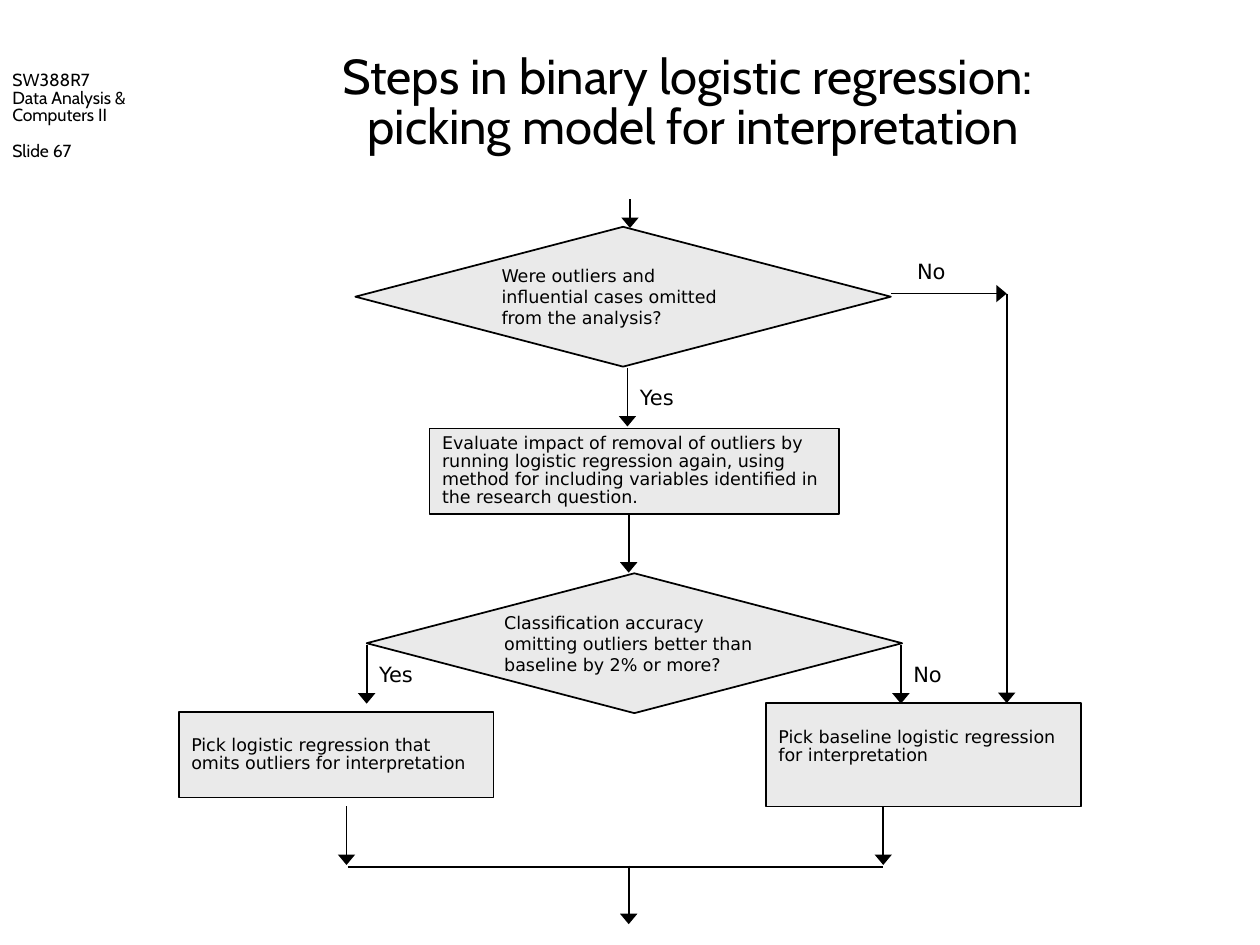
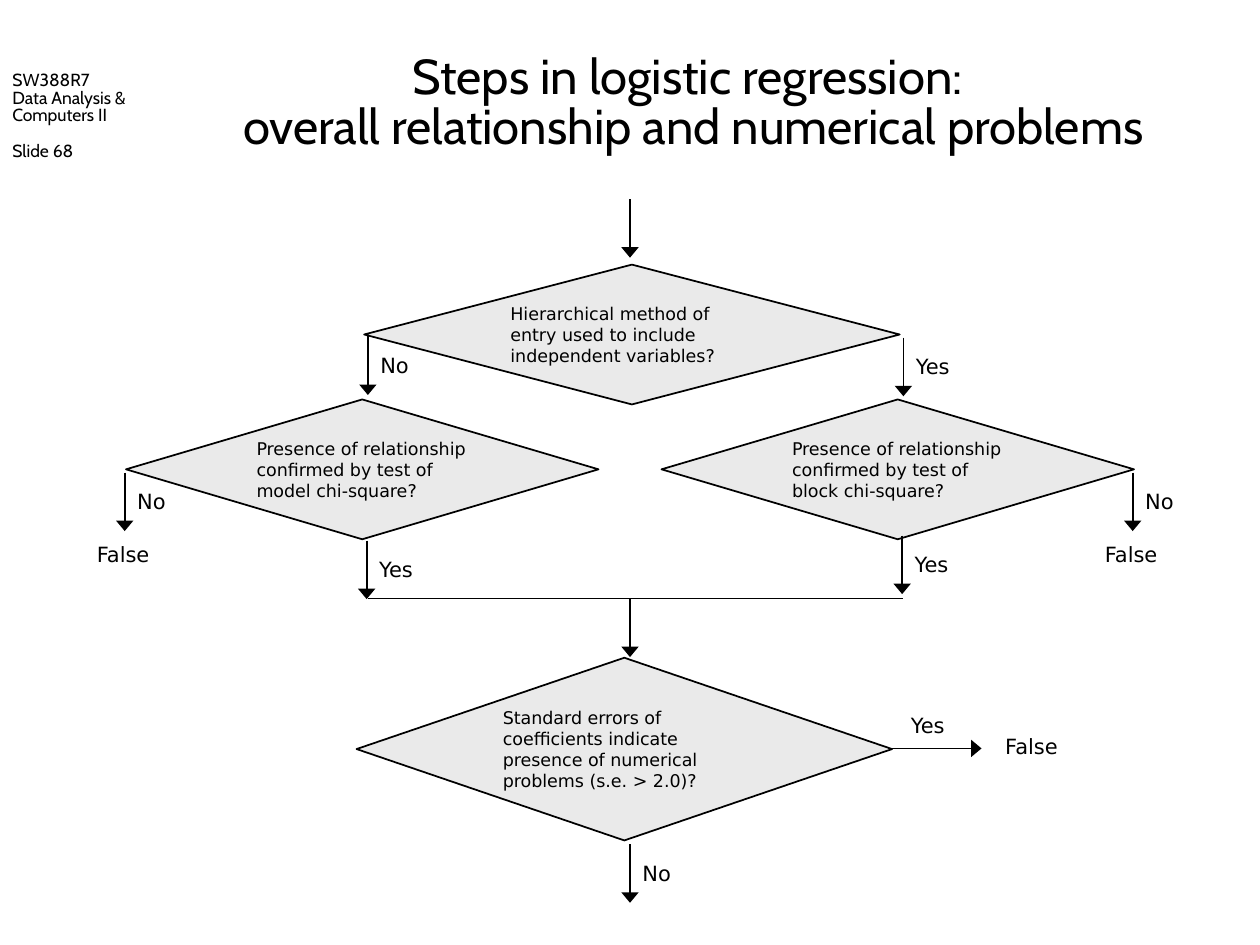
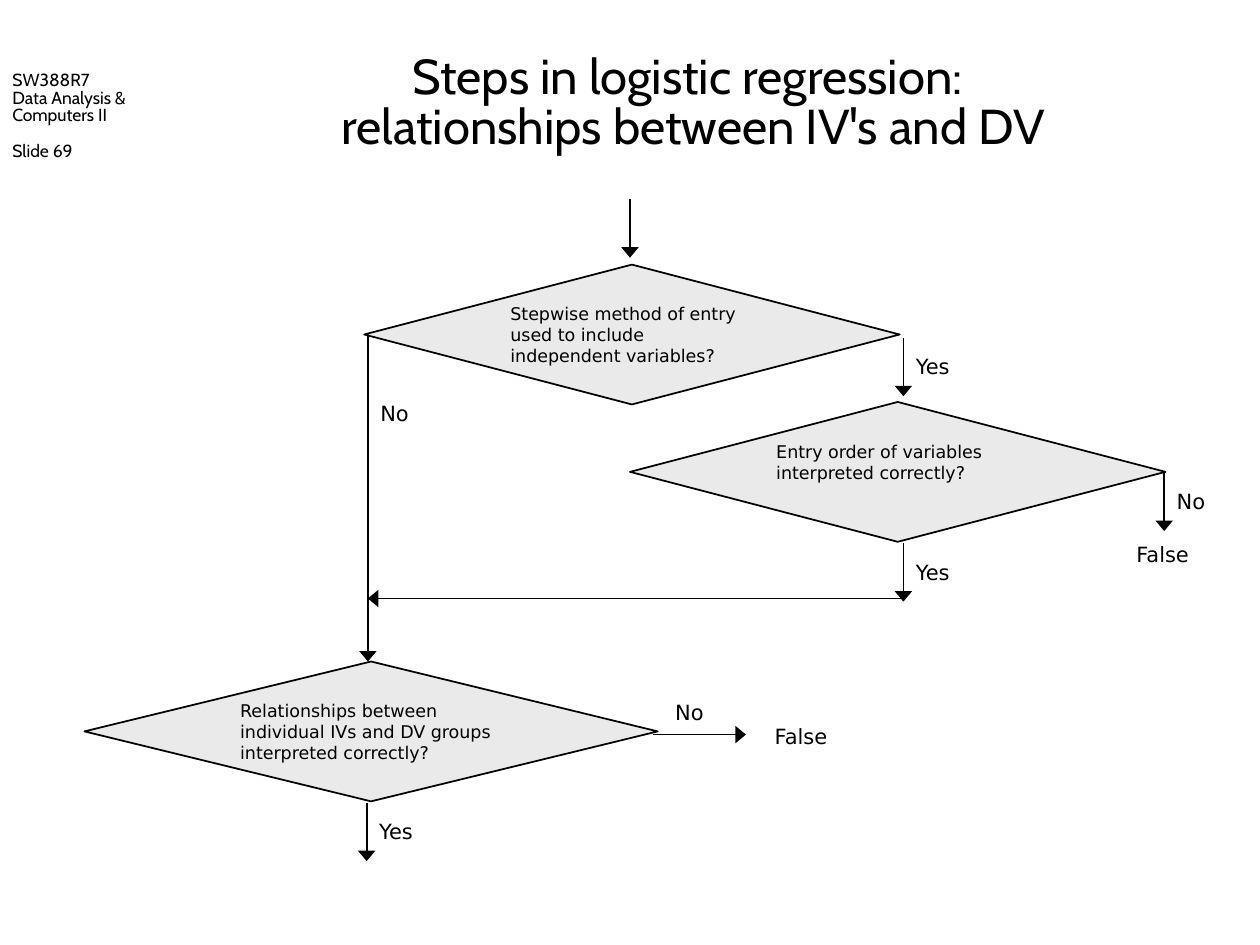
from dataclasses import dataclass

from lxml import etree
from pptx import Presentation
from pptx.dml.color import RGBColor
from pptx.enum.shapes import MSO_CONNECTOR, MSO_SHAPE
from pptx.enum.text import MSO_ANCHOR, PP_ALIGN
from pptx.oxml.ns import qn
from pptx.util import Inches, Pt

TOP, MIDDLE, BOTTOM = MSO_ANCHOR.TOP, MSO_ANCHOR.MIDDLE, MSO_ANCHOR.BOTTOM
LEFT, CENTER = PP_ALIGN.LEFT, PP_ALIGN.CENTER
DIAMOND, RECTANGLE = MSO_SHAPE.FLOWCHART_DECISION, MSO_SHAPE.RECTANGLE
STRAIGHT = MSO_CONNECTOR.STRAIGHT
COLUMNS, ROWS = 100, 75
WIDTH, HEIGHT = Inches(10), Inches(7.5)


@dataclass(frozen=True)
class Theme:
    """Colours, fonts and sizes shared by all slides."""
    ink: RGBColor = RGBColor(0, 0, 0)
    fill: RGBColor = RGBColor(0xEA, 0xEA, 0xEA)
    heading_font: str = "Cabin"
    body_font: str = "DejaVu Sans"
    title_size: float = 28
    small_size: float = 10
    label_size: float = 12
    tight: float = 0.85
    thin: float = 0.75
    line: float = 1


THEME = Theme()


@dataclass(frozen=True)
class Box:
    """A rectangle in grid columns and rows."""
    left: float
    top: float
    width: float
    height: float

    def inner(self, left, top, width, height):
        """Return a box placed relative to this one."""
        return Box(self.left + left, self.top + top, width, height)

    def frame(self):
        """Return left, top, width and height as slide lengths."""
        return (across(self.left), down(self.top),
                across(self.width), down(self.height))


SIDE = Box(0, 3.3, 12.5, 10)
TITLE = Box(12.5, 3.3, 85, 10)
CHART = Box(0, 15, 100, 60)


def across(columns):
    """Convert columns to a length."""
    return round(WIDTH * columns / COLUMNS)


def down(rows):
    """Convert rows to a length."""
    return round(HEIGHT * rows / ROWS)


def apply(target, formats):
    """Set each named attribute on the target."""
    for name, value in formats.items():
        setattr(target, name, value)


def write(shape, paragraphs, size, font=THEME.body_font, anchor=MIDDLE,
          align=LEFT, spacing=1.0):
    """Write paragraphs, each a list of lines, into a shape."""
    frame = shape.text_frame
    apply(frame, {"word_wrap": True, "vertical_anchor": anchor})
    for index, lines in enumerate(paragraphs):
        para = frame.add_paragraph() if index else frame.paragraphs[0]
        apply(para, {"alignment": align, "line_spacing": spacing})
        for number, line in enumerate(lines):
            if number:
                para.add_line_break()
            span = para.add_run()
            span.text = line
            apply(span.font, {"name": font, "size": Pt(size)})
            span.font.color.rgb = THEME.ink
    return frame


def add_text(page, box, paragraphs, size, **formats):
    """Add a text box and return its frame."""
    return write(page.shapes.add_textbox(*box.frame()), paragraphs, size, **formats)


@dataclass(frozen=True)
class Flow:
    """Flowchart parts placed relative to a box on a page."""
    page: object
    box: Box

    def node(self, kind, place, paragraphs, weight, spacing, lift, inset=1):
        """Add a filled shape, its text lifted by extra bottom inset."""
        shape = self.page.shapes.add_shape(kind, *self.box.inner(*place).frame())
        shape.shadow.inherit = False
        shape.fill.solid()
        shape.fill.fore_color.rgb = THEME.fill
        shape.line.color.rgb = THEME.ink
        shape.line.width = Pt(weight)
        frame = write(shape, [[text] for text in paragraphs],
                      THEME.small_size, spacing=spacing)
        apply(frame, {"margin_left": across(inset), "margin_right": across(inset),
                      "margin_bottom": down(0.5 + lift)})

    def decision(self, left, top, text, width=42.5, height=11.1, lift=0, inset=1):
        """Add a question in a diamond."""
        self.node(DIAMOND, (left, top, width, height), [text], THEME.line, 1.0,
                  lift, inset)

    def process(self, left, top, *paragraphs, width=25, height=6.8, lift=0):
        """Add a step in a rectangle."""
        self.node(RECTANGLE, (left, top, width, height), paragraphs,
                  THEME.thin, THEME.tight, lift)

    def label(self, left, top, text, width=5.1):
        """Add a short free label."""
        add_text(self.page, self.box.inner(left, top, width, 3), [[text]],
                 THEME.label_size, anchor=TOP)

    def line(self, left, top, run, weight=THEME.line, arrow=False):
        """Add a straight line with an optional arrowhead."""
        start = self.box.inner(left, top, *run)
        x, y, width, height = start.frame()
        connector = self.page.shapes.add_connector(STRAIGHT, x, y, x + width, y + height)
        connector.line.color.rgb = THEME.ink
        connector.line.width = Pt(weight)
        properties = connector.element.spPr
        if arrow:
            etree.SubElement(properties.find(qn("a:ln")), qn("a:tailEnd"),
                             type="triangle", w="lg", len="med")
        etree.SubElement(properties, qn("a:effectLst"))

    def arrow(self, left, top, text=None, length=4.65, drop=0.8):
        """Add a downward arrow with an optional label beside it."""
        self.line(left, top, (0, length), arrow=True)
        if text:
            self.label(left, top + drop, text)

    def side_arrow(self, left, top, text=None, length=7.4, shift=0.8):
        """Add a horizontal arrow with an optional label above it."""
        self.line(left, top, (length, 0), arrow=True)
        if text:
            self.label(left + shift, top - 3.3, text)

    def false_end(self, left, top):
        """Add the end label of a failed check."""
        self.label(left, top, "False", width=7)


def draw_side(page, box, number):
    """Add the course name and slide number."""
    frame = add_text(page, box,
                     [["SW388R7"], ["Data Analysis & Computers II"], [f"Slide {number}"]],
                     THEME.small_size, font=THEME.heading_font, anchor=BOTTOM,
                     spacing=THEME.tight)
    frame.paragraphs[-1].space_before = Pt(10.3)


def draw_title(page, box, lines):
    """Add the centred two-line title."""
    add_text(page, box, [lines], THEME.title_size, font=THEME.heading_font,
             align=CENTER, spacing=THEME.tight)


def draw_model_choice(page, box):
    """Draw the choice between the baseline and the reduced model."""
    flow = Flow(page, box)
    flow.decision(29.1, 30.5, "Classification accuracy omitting outliers better "
                              "than baseline by 2% or more?", inset=0.3)
    flow.decision(28.2, 3, "Were outliers and influential cases omitted "
                           "from the analysis?")
    flow.process(60.8, 40.8, "Pick baseline logistic regression",
                 "for interpretation", height=8.2, lift=1.2)
    flow.process(34.1, 19, "Evaluate impact of removal of outliers by running "
                           "logistic regression again, using method for including "
                           "variables identified in the research question.", width=32.5)
    flow.process(14.2, 41.5, "Pick logistic regression that omits outliers "
                             "for interpretation")
    flow.arrow(50, 0.8, length=2.3)
    flow.arrow(49.8, 14.2, "Yes")
    flow.arrow(49.9, 25.8)
    flow.arrow(29.1, 36.2, "Yes")
    flow.arrow(71.5, 36.2, "No")
    flow.side_arrow(70.7, 8.3, "No", length=9.2, shift=1.1)
    flow.arrow(79.9, 8.3, length=32.5)
    for left in (27.5, 70.1):
        flow.arrow(left, 49)
    flow.line(27.6, 53.8, (42.5, 0))
    flow.arrow(49.9, 53.7)


def draw_overall_check(page, box):
    """Draw the checks of overall relationship and numerical problems."""
    flow = Flow(page, box)
    flow.decision(28.9, 6, "Hierarchical method of entry used to include "
                           "independent variables?")
    for left, test in ((10, "model"), (52.5, "block")):
        flow.decision(left, 16.7, "Presence of relationship confirmed by test of "
                                  f"{test} chi-square?", width=37.5)
    flow.decision(28.3, 37.2, "Standard errors of coefficients indicate presence of "
                              "numerical problems (s.e. > 2.0)?", height=14.5)
    flow.arrow(50, 0.8)
    flow.arrow(29.2, 11.7, "No")
    flow.arrow(71.7, 11.8, "Yes")
    for left in (9.9, 89.9):
        flow.arrow(left, 22.5, "No")
        flow.false_end(left - 3.2, 27.5)
    flow.arrow(29.1, 27.9, "Yes")
    flow.arrow(71.6, 27.5, "Yes")
    flow.line(29.2, 32.5, (42.5, 0), weight=THEME.thin)
    flow.arrow(50, 32.5)
    flow.side_arrow(70.5, 44.4, "Yes")
    flow.false_end(78.8, 42.7)
    flow.arrow(50, 52, "No")


def draw_variable_check(page, box):
    """Draw the checks of the individual relationships."""
    flow = Flow(page, box)
    flow.decision(28.9, 6, "Stepwise method of entry used to include "
                           "independent variables?")
    flow.decision(50, 16.9, "Entry order of variables interpreted correctly?", lift=1.6)
    flow.decision(6.7, 37.5, "Relationships between individual IVs and DV groups "
                             "interpreted correctly?", width=45.5)
    flow.arrow(50, 0.8)
    flow.arrow(71.7, 11.8, "Yes")
    flow.arrow(29.2, 11.7, "No", length=25.8, drop=4.6)
    flow.arrow(92.4, 22.5, "No")
    flow.false_end(89.2, 27.5)
    flow.arrow(71.7, 28.1, "Yes")
    flow.side_arrow(71.7, 32.5, length=-42.5)
    flow.side_arrow(51.8, 43.3, "No")
    flow.false_end(60.5, 41.9)
    flow.arrow(29.1, 48.7, "Yes")


SLIDES = (
    (("Steps in binary logistic regression: ", "picking model for interpretation"),
     draw_model_choice),
    (("Steps in logistic regression: ", "overall relationship and numerical problems"),
     draw_overall_check),
    (("Steps in logistic regression: ", "relationships between IV's and DV"),
     draw_variable_check),
)


def main():
    """Build the deck and save it."""
    deck = Presentation()
    apply(deck, {"slide_width": WIDTH, "slide_height": HEIGHT})
    for number, (title, draw_chart) in enumerate(SLIDES, start=67):
        page = deck.slides.add_slide(deck.slide_layouts[6])
        draw_side(page, SIDE, number)
        draw_title(page, TITLE, title)
        draw_chart(page, CHART)
    deck.save("out.pptx")


if __name__ == "__main__":
    main()
